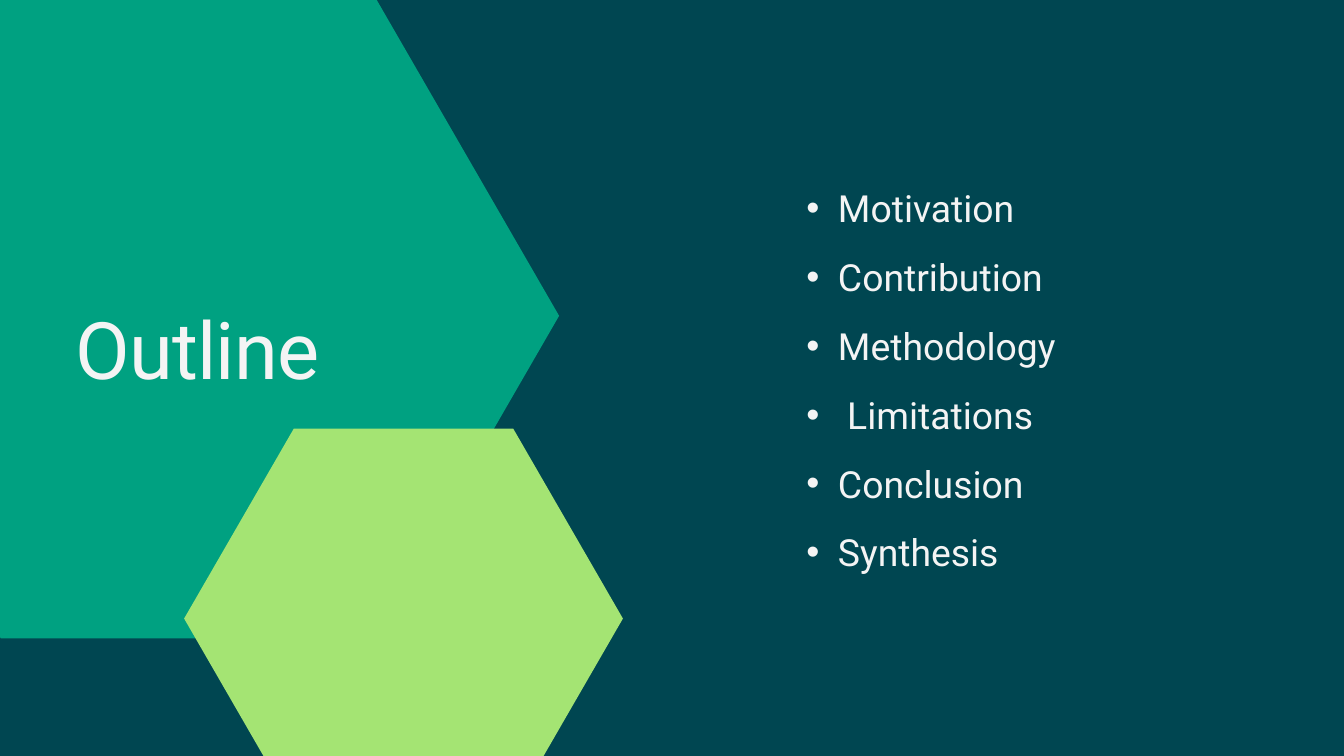
"""Build the outline slide with two hexagons, a title and a bulleted list."""
from lxml.etree import SubElement
from pptx import Presentation
from pptx.dml.color import RGBColor
from pptx.enum.shapes import MSO_SHAPE as Shape
from pptx.enum.text import MSO_ANCHOR as Anchor, PP_ALIGN as Align
from pptx.oxml.ns import qn
from pptx.util import Inches, Pt

NAVY = RGBColor(0x00, 0x46, 0x51)
GREEN = RGBColor(0x00, 0xA1, 0x81)
LIME = RGBColor(0xA4, 0xE4, 0x73)
WHITE = RGBColor(0xF4, 0xF4, 0xF4)
FACE = "Roboto"
TOPICS = ["Motivation", "Contribution", "Methodology", " Limitations", "Conclusion", "Synthesis"]


def place(shape, left, top, width, height):
    shape.left, shape.top = Inches(left), Inches(top)
    shape.width, shape.height = Inches(width), Inches(height)


def add_hex(slide, left, top, width, height, fill):
    box = [Inches(n) for n in (left, top, width, height)]
    shape = slide.shapes.add_shape(Shape.HEXAGON, *box)
    shape.adjustments[0] = 0.2887
    shape.shadow.inherit = False
    shape.fill.solid()
    shape.fill.fore_color.rgb = fill
    shape.line.fill.background()


def set_frame(frame):
    frame.margin_left = frame.margin_top = frame.margin_right = frame.margin_bottom = 0
    frame.vertical_anchor = Anchor.TOP
    frame.word_wrap = True


def set_style(para, size, pitch):
    para.alignment = Align.LEFT
    para.line_spacing = Pt(pitch)
    para.font.name = FACE
    para.font.size = Pt(size)
    para.font.color.rgb = WHITE


def set_title(slide, text):
    title = slide.shapes.title
    slide.shapes._spTree.append(title._element)
    place(title, 1.12, 4.46, 4.88, 1.41)
    set_frame(title.text_frame)
    title.text_frame.text = text
    para = title.text_frame.paragraphs[0]
    set_style(para, 85, 102)
    para.runs[0].font._element.set("spc", "-80")


def add_bullet(para):
    props = para._p.get_or_add_pPr()
    props.set("marL", str(Inches(0.94)))
    props.set("indent", str(Inches(-0.47)))
    SubElement(props, qn("a:buFont")).set("typeface", "Arial")
    SubElement(props, qn("a:buChar")).set("char", "•")


def add_list(slide, items):
    box = slide.shapes.add_textbox(0, 0, 0, 0)
    place(box, 11.53, 2.65, 6.68, 5.86)
    frame = box.text_frame
    set_frame(frame)
    for i, item in enumerate(items):
        para = frame.add_paragraph() if i else frame.paragraphs[0]
        para.text = item
        add_bullet(para)
        set_style(para, 40, 56)
        if i:
            para.space_before = Pt(17.7)


def main():
    deck = Presentation()
    deck.slide_width, deck.slide_height = Inches(20), Inches(11.25)
    slide = deck.slides.add_slide(deck.slide_layouts[5])
    slide.background.fill.solid()
    slide.background.fill.fore_color.rgb = NAVY
    add_hex(slide, -2.76, -0.1, 11.08, 9.6, GREEN)
    add_hex(slide, 2.74, 6.38, 6.53, 5.65, LIME)
    set_title(slide, "Outline")
    add_list(slide, TOPICS)
    deck.save("out.pptx")


if __name__ == "__main__":
    main()
